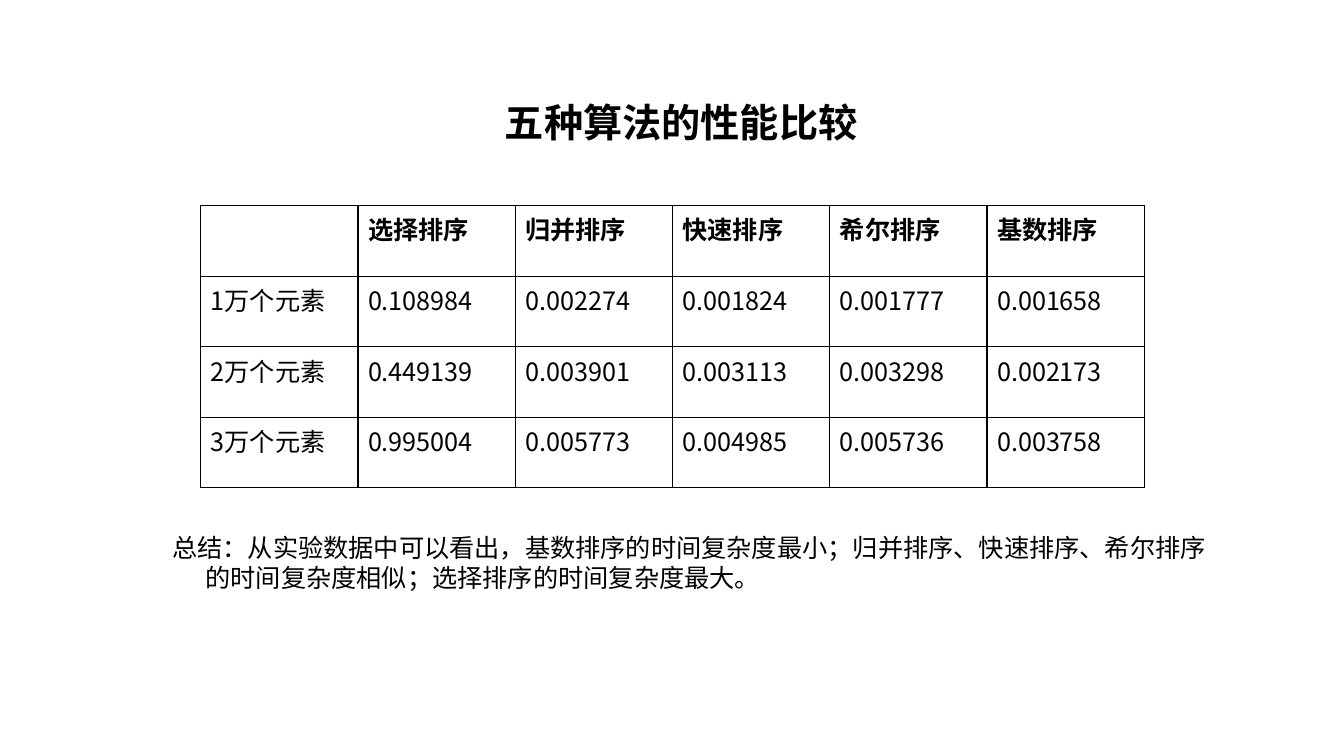
from dataclasses import dataclass

from lxml.etree import SubElement
from pptx import Presentation
from pptx.dml.color import RGBColor
from pptx.oxml.ns import qn
from pptx.util import Inches, Pt


@dataclass(frozen=True)
class Theme:
    font: str = "Noto Sans CJK SC"
    ink: str = "000000"
    title: float = 28
    body: float = 18
    border: float = 1


@dataclass(frozen=True)
class TextBox:
    lines: tuple[str, ...]
    left: float
    top: float
    width: float
    height: float
    size: float
    bold: bool = False
    wrap: bool = True
    indent: float = 0


@dataclass(frozen=True)
class Timing:
    label: str
    values: tuple[str, ...]


THEME = Theme()
COL_WIDTH, ROW_HEIGHT = 1.56, 0.7

TEXTS = (
    TextBox(("五种算法的性能比较",), 4.91, 0.93, 4.01, 0.57, THEME.title, bold=True),
    TextBox(
        (
            "总结：从实验数据中可以看出，基数排序的时间复杂度最小；归并排序、快速排序、希尔排序",
            "的时间复杂度相似；选择排序的时间复杂度最大。",
        ),
        1.61, 5.23, 10.55, 0.71, THEME.body, wrap=False, indent=0.33,
    ),
)

TIMINGS = (
    Timing("", ("选择排序", "归并排序", "快速排序", "希尔排序", "基数排序")),
    Timing("1万个元素", ("0.108984", "0.002274", "0.001824", "0.001777", "0.001658")),
    Timing("2万个元素", ("0.449139", "0.003901", "0.003113", "0.003298", "0.002173")),
    Timing("3万个元素", ("0.995004", "0.005773", "0.004985", "0.005736", "0.003758")),
)


def add_text(p, text: str, *, size: float, bold: bool = False, indent: float = 0) -> None:
    if indent:
        p._p.get_or_add_pPr().set("marL", str(Inches(indent)))
    r = p.add_run()
    r.text = text
    r.font.size = Pt(size)
    r.font.bold = bold
    r.font.name = THEME.font
    r.font.color.rgb = RGBColor.from_string(THEME.ink)
    SubElement(r._r.get_or_add_rPr(), qn("a:ea")).set("typeface", THEME.font)


def add_box(s, box: TextBox) -> None:
    sp = s.shapes.add_textbox(
        Inches(box.left), Inches(box.top), Inches(box.width), Inches(box.height)
    )
    tf = sp.text_frame
    tf.word_wrap = box.wrap
    for i, line in enumerate(box.lines):
        p = tf.add_paragraph() if i else tf.paragraphs[0]
        add_text(p, line, size=box.size, bold=box.bold, indent=box.indent if i else 0)


def add_borders(cell) -> None:
    tc_pr = cell._tc.get_or_add_tcPr()
    for side in ("lnL", "lnR", "lnT", "lnB"):
        ln = SubElement(tc_pr, qn(f"a:{side}"), w=str(Pt(THEME.border)))
        fill = SubElement(ln, qn("a:solidFill"))
        SubElement(fill, qn("a:srgbClr"), val=THEME.ink)


def add_timings(s, left: float, top: float) -> None:
    rows, cols = len(TIMINGS), len(TIMINGS[0].values) + 1
    table = s.shapes.add_table(
        rows, cols, Inches(left), Inches(top),
        Inches(cols * COL_WIDTH), Inches(rows * ROW_HEIGHT),
    ).table
    table.first_row = False
    table.horz_banding = False
    for i, timing in enumerate(TIMINGS):
        for j, text in enumerate((timing.label, *timing.values)):
            cell = table.cell(i, j)
            add_borders(cell)
            cell.fill.background()
            if text:
                add_text(cell.text_frame.paragraphs[0], text, size=THEME.body, bold=i == 0)


def main() -> None:
    prs = Presentation()
    prs.slide_width, prs.slide_height = Inches(13.33), Inches(7.5)
    s = prs.slides.add_slide(prs.slide_layouts[6])
    add_timings(s, 1.99, 2.04)
    for box in TEXTS:
        add_box(s, box)
    prs.save("out.pptx")


if __name__ == "__main__":
    main()
